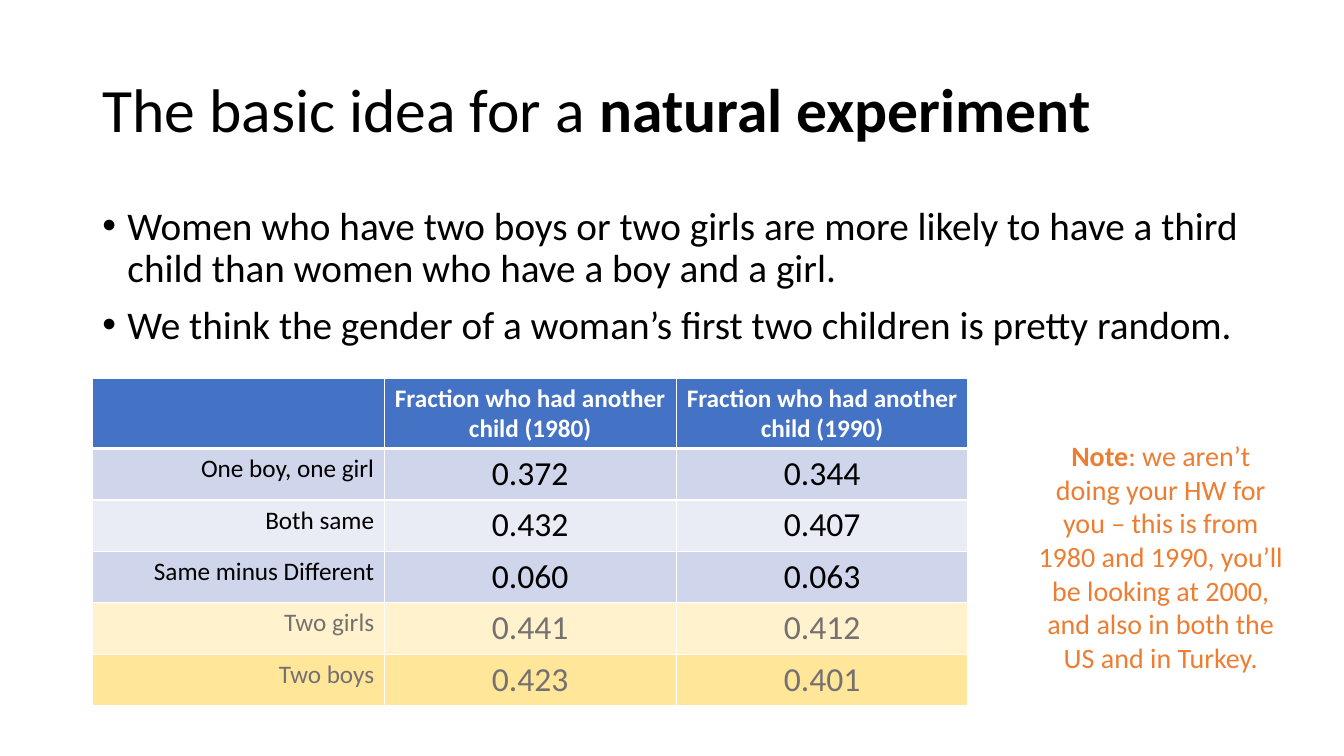
import dataclasses

import lxml.etree
import pptx
import pptx.dml.color
import pptx.enum.text
import pptx.oxml.ns
import pptx.util

ALIGN = pptx.enum.text.PP_ALIGN
ANCHOR = pptx.enum.text.MSO_ANCHOR
FONT = "Calibri"
PX = 9525  # EMU per px, 96 px to the inch
COLOURS = {
    "black": "000000",
    "white": "FFFFFF",
    "grey": "767171",
    "orange": "ED7D31",
    "header": "4472C4",
    "band_dark": "CFD5EA",
    "band_light": "E9EBF5",
    "pale_gold": "FFF2CC",
    "gold": "FFE699",
}


@dataclasses.dataclass
class Span:
    text: str
    size: int
    colour: str = "black"
    bold: bool = False


@dataclasses.dataclass
class Row:
    label: str
    values: tuple[str, str]
    fill: str
    colour: str = "black"


BULLETS = [
    "Women who have two boys or two girls are more likely to have a third child "
    "than women who have a boy and a girl.",
    "We think the gender of a woman’s first two children is pretty random.",
]
YEARS = (1980, 1990)
ROWS = [
    Row("One boy, one girl", ("0.372", "0.344"), "band_dark"),
    Row("Both same", ("0.432", "0.407"), "band_light"),
    Row("Same minus Different", ("0.060", "0.063"), "band_dark"),
    Row("Two girls", ("0.441", "0.412"), "pale_gold", "grey"),
    Row("Two boys", ("0.423", "0.401"), "gold", "grey"),
]
COLUMN_WIDTH, HEADER_HEIGHT, ROW_HEIGHT = 278, 67, 49


def px(length: int) -> pptx.util.Emu:
    return pptx.util.Emu(length * PX)


def rgb(colour: str) -> pptx.dml.color.RGBColor:
    return pptx.dml.color.RGBColor.from_string(COLOURS[colour])


def add_spans(para, spans: list[Span], align: ALIGN) -> None:
    para.alignment = align
    for span in spans:
        run = para.add_run()
        run.text = span.text
        run.font.name = FONT
        run.font.size = pptx.util.Pt(span.size)
        run.font.bold = span.bold
        run.font.color.rgb = rgb(span.colour)


def add_bullet(para) -> None:
    properties = para._p.get_or_add_pPr()
    properties.set("marL", str(px(24)))
    properties.set("indent", str(-px(24)))
    lxml.etree.SubElement(properties, pptx.oxml.ns.qn("a:buFont"), typeface="Arial")
    lxml.etree.SubElement(properties, pptx.oxml.ns.qn("a:buChar"), char="•")


def add_box(page, left: int, top: int, width: int, height: int):
    box = page.shapes.add_textbox(px(left), px(top), px(width), px(height))
    box.text_frame.word_wrap = True
    return box.text_frame


def add_borders(cell, top: int, bottom: int) -> None:
    properties = cell._tc.get_or_add_tcPr()
    for side, points in (("L", 1), ("R", 1), ("T", top), ("B", bottom)):
        line = lxml.etree.SubElement(
            properties, pptx.oxml.ns.qn(f"a:ln{side}"), w=str(pptx.util.Pt(points))
        )
        fill = lxml.etree.SubElement(line, pptx.oxml.ns.qn("a:solidFill"))
        lxml.etree.SubElement(fill, pptx.oxml.ns.qn("a:srgbClr"), val=COLOURS["white"])


def fill_cell(cell, span: Span, align: ALIGN, fill: str, top: int, bottom: int) -> None:
    add_borders(cell, top, bottom)
    cell.fill.solid()
    cell.fill.fore_color.rgb = rgb(fill)
    if span.text:
        add_spans(cell.text_frame.paragraphs[0], [span], align)


def add_title(page) -> None:
    title = page.shapes.title
    title.left, title.top, title.width, title.height = px(88), px(38), px(1104), px(139)
    title.text_frame.vertical_anchor = ANCHOR.MIDDLE
    para = title.text_frame.paragraphs[0]
    para.line_spacing = 0.9
    spans = [Span("The basic idea for a ", 44), Span("natural experiment", 44, bold=True)]
    add_spans(para, spans, ALIGN.LEFT)


def add_bullets(page) -> None:
    frame = add_box(page, 88, 192, 1104, 457)
    for index, text in enumerate(BULLETS):
        para = frame.add_paragraph() if index else frame.paragraphs[0]
        para.line_spacing = 0.9
        para.space_before = pptx.util.Pt(10 if index else 0)
        add_bullet(para)
        add_spans(para, [Span(text, 28)], ALIGN.LEFT)


def add_fractions(page) -> None:
    table = page.shapes.add_table(
        len(ROWS) + 1, 3, px(88), px(360),
        px(3 * COLUMN_WIDTH), px(HEADER_HEIGHT + len(ROWS) * ROW_HEIGHT),
    ).table
    for column in table.columns:
        column.width = px(COLUMN_WIDTH)
    for index, row in enumerate(table.rows):
        row.height = px(ROW_HEIGHT if index else HEADER_HEIGHT)

    # Header row
    headings = [""] + [f"Fraction who had another child ({year})" for year in YEARS]
    for column, heading in enumerate(headings):
        span = Span(heading, 18, "white", True)
        fill_cell(table.cell(0, column), span, ALIGN.CENTER, "header", 1, 3)

    # Data rows
    for index, row in enumerate(ROWS, start=1):
        top = 3 if index == 1 else 1
        label = Span(row.label, 18, row.colour)
        fill_cell(table.cell(index, 0), label, ALIGN.RIGHT, row.fill, top, 1)
        for column, value in enumerate(row.values, start=1):
            span = Span(value, 24, row.colour)
            fill_cell(table.cell(index, column), span, ALIGN.CENTER, row.fill, top, 1)


def add_note(page) -> None:
    frame = add_box(page, 978, 413, 255, 236)
    spans = [
        Span("Note", 20, "orange", True),
        Span(": we aren’t doing your HW for you – this is from 1980 and 1990, you’ll "
             "be looking at 2000, and also in both the US and in Turkey.", 20, "orange"),
    ]
    add_spans(frame.paragraphs[0], spans, ALIGN.CENTER)


def main() -> None:
    deck = pptx.Presentation()
    deck.slide_width, deck.slide_height = px(1280), px(720)
    page = deck.slides.add_slide(deck.slide_layouts.get_by_name("Title Only"))
    add_title(page)
    add_bullets(page)
    add_fractions(page)
    add_note(page)
    deck.save("out.pptx")


if __name__ == "__main__":
    main()
